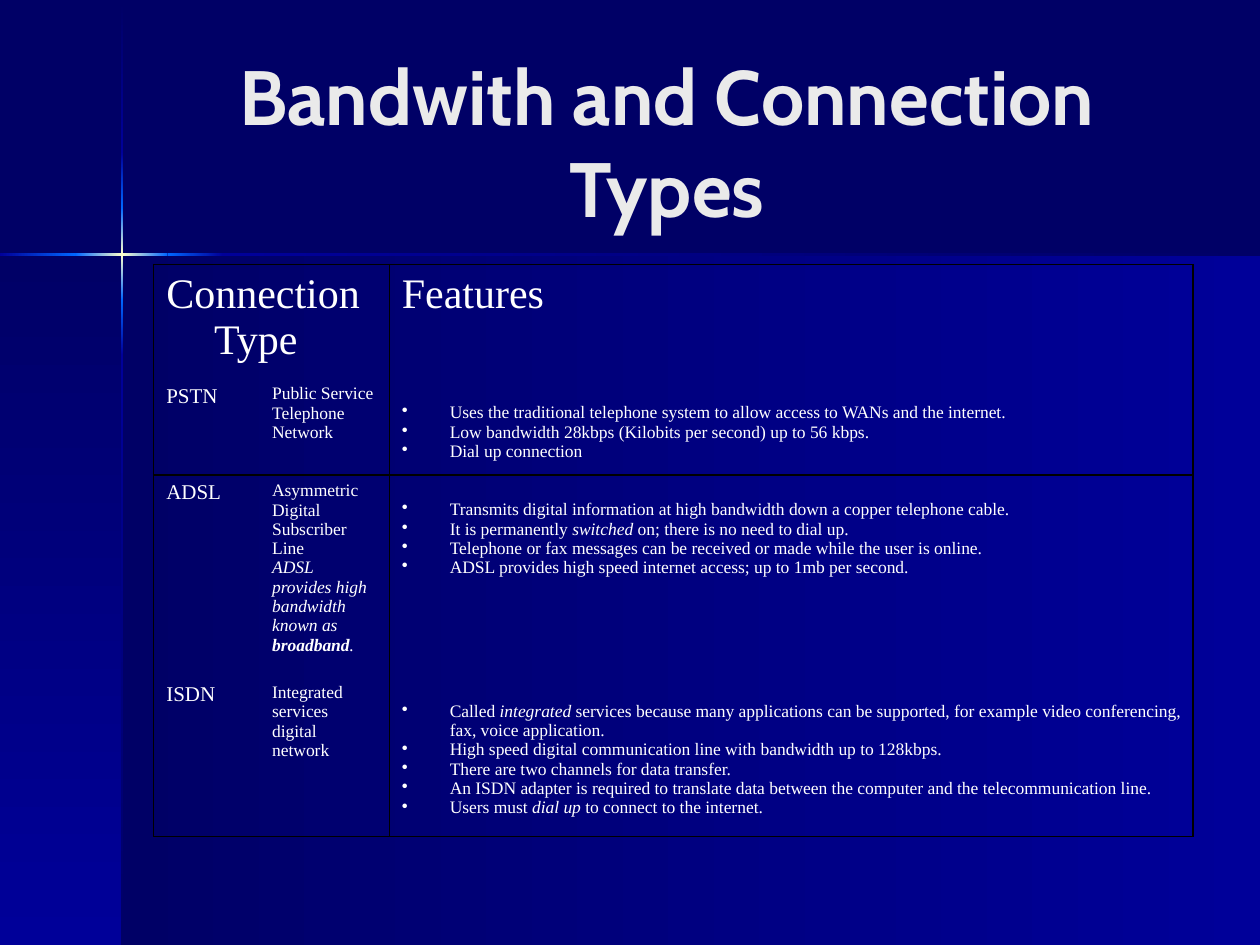
"""Build a slide with a table of connection types."""
from lxml import etree
from pptx import Presentation
from pptx.dml.color import RGBColor
from pptx.enum.shapes import MSO_SHAPE
from pptx.enum.text import MSO_ANCHOR, MSO_AUTO_SIZE, PP_ALIGN
from pptx.oxml.ns import qn
from pptx.util import Inches, Pt

RECT = MSO_SHAPE.RECTANGLE
MIDDLE = MSO_ANCHOR.MIDDLE
NO_FIT = MSO_AUTO_SIZE.NONE
CENTER = PP_ALIGN.CENTER
NAVY, BLUE, BRIGHT, CREAM = "000066", "000099", "0066FF", "FFFFCC"
HANG = Inches(0.38)
PLAIN = "{2D5ABB26-0587-4C30-8999-92F81FD0307C}"


def color(code):
    """Turn a hex string into a colour."""
    return RGBColor.from_string(code)


def write(para, text, size=10, font="Times New Roman", ink="FFFFFF",
          bold=False, hang=False, bullet=False):
    """Fill a paragraph; * toggles italic and ^ toggles bold."""
    props = para._p.get_or_add_pPr()
    if hang:
        props.set("marL", str(HANG))
        props.set("indent", str(-HANG))
    if bullet:
        etree.SubElement(props, qn("a:buChar")).set("char", "•")
    for i, part in enumerate(text.split("*")):
        for j, piece in enumerate(part.split("^")):
            if piece:
                run = para.add_run()
                run.text = piece
                run.font.size = Pt(size)
                run.font.name = font
                run.font.color.rgb = color(ink)
                run.font.bold = bold or j % 2 == 1
                run.font.italic = i % 2 == 1


prs = Presentation()
prs.slide_width, prs.slide_height = Inches(10), Inches(7.5)
slide = prs.slides.add_slide(prs.slide_layouts[5])
back = slide.background.fill
back.solid()
back.fore_color.rgb = color(NAVY)

bands = [
    (0.97, 2.02, 9.03, 5.48, NAVY, BLUE, 0),
    (0, 2.02, 0.97, 5.48, NAVY, BLUE, 270),
]
tones = [NAVY, BLUE, BRIGHT, CREAM, BRIGHT, BLUE, NAVY]
downs = [0.01, 1.21, 1.65, 2.02, 2.38, 2.82, 7.5]
for top, end, first, last in zip(downs, downs[1:], tones, tones[1:]):
    bands.append((0.96, top, 0.02, end - top, first, last, 270))
rights = [0, 0.6, 0.97, 1.33, 1.77, 10]
for left, end, first, last in zip(rights, rights[1:], tones[1:], tones[2:]):
    bands.append((left, 2.01, end - left, 0.02, first, last, 0))

for left, top, width, height, first, last, angle in bands:
    band = slide.shapes.add_shape(RECT, Inches(left), Inches(top), Inches(width), Inches(height))
    band.shadow.inherit = False
    band.line.fill.background()
    band.fill.gradient()
    band.fill.gradient_angle = angle
    for stop, tone in zip(band.fill.gradient_stops, (first, last)):
        stop.color.rgb = color(tone)

title = slide.shapes.title
title.left, title.top = Inches(1.17), Inches(0.33)
title.width, title.height = Inches(8.25), Inches(1.57)
frame = title.text_frame
frame.word_wrap = True
frame.auto_size = NO_FIT
frame.vertical_anchor = MIDDLE
frame.paragraphs[0].alignment = CENTER
write(frame.paragraphs[0], "Bandwith and Connection Types",
      size=44, font="Cabin", ink="EAEAEA", bold=True)

rows = [
    ("PSTN", ["Public Service Telephone Network"], [
        "Uses the traditional telephone system to allow access to WANs and the internet.",
        "Low bandwidth 28kbps (Kilobits per second) up to 56 kbps.",
        "Dial up connection",
    ]),
    ("ADSL", ["Asymmetric Digital Subscriber Line",
              "*ADSL provides high bandwidth known as ^broadband^.*"], [
        "Transmits digital information at high bandwidth down a copper telephone cable.",
        "It is permanently *switched* on; there is no need to dial up.",
        "Telephone or fax messages can be received or made while the user is online.",
        "ADSL provides high speed internet access; up to 1mb per second.",
    ]),
    ("ISDN", ["Integrated services digital network"], [
        "Called *integrated* services because many applications can be supported, "
        "for example video conferencing, fax, voice application.",
        "High speed digital communication line with bandwidth up to 128kbps.",
        "There are two channels for data transfer.",
        "An ISDN adapter is required to translate data between the computer "
        "and the telecommunication line.",
        "Users must *dial up* to connect to the internet.",
    ]),
]

holder = slide.shapes.add_table(4, 3, Inches(1.22), Inches(2.1), Inches(8.25), Inches(4.53))
table = holder.table
table.first_row = table.horz_banding = False
for style in holder._element.iter(qn("a:tableStyleId")):
    style.text = PLAIN
for column, width in zip(table.columns, (0.84, 1.03, 6.38)):
    column.width = Inches(width)
for row, height in zip(table.rows, (0.9, 0.77, 1.6, 1.27)):
    row.height = Inches(height)
table.cell(0, 0).merge(table.cell(0, 1))

for r in range(4):
    for c in range(3):
        cell = table.cell(r, c)
        cell.fill.background()
        sides = {"L": c in (0, 2), "R": c in (1, 2) or (r, c) == (0, 0),
                 "T": r in (0, 2), "B": r in (1, 3)}
        for i, (side, shown) in enumerate(sides.items()):
            line = etree.Element(qn("a:ln" + side), w=str(Pt(1)))
            if shown:
                fill = etree.SubElement(line, qn("a:solidFill"))
                etree.SubElement(fill, qn("a:srgbClr")).set("val", "000000")
            else:
                etree.SubElement(line, qn("a:noFill"))
            cell._tc.get_or_add_tcPr().insert(i, line)

for c, head in ((0, "Connection Type"), (2, "Features")):
    write(table.cell(0, c).text_frame.paragraphs[0], head, size=24, hang=True)
for r, (name, about, points) in enumerate(rows, 1):
    write(table.cell(r, 0).text_frame.paragraphs[0], name, size=12, hang=True)
    table.cell(r, 2).margin_top = Inches(0.2)
    for c, items in ((1, about), (2, points)):
        frame = table.cell(r, c).text_frame
        for i, item in enumerate(items):
            para = frame.add_paragraph() if i else frame.paragraphs[0]
            write(para, item, hang=c == 2, bullet=c == 2)

prs.save("out.pptx")
